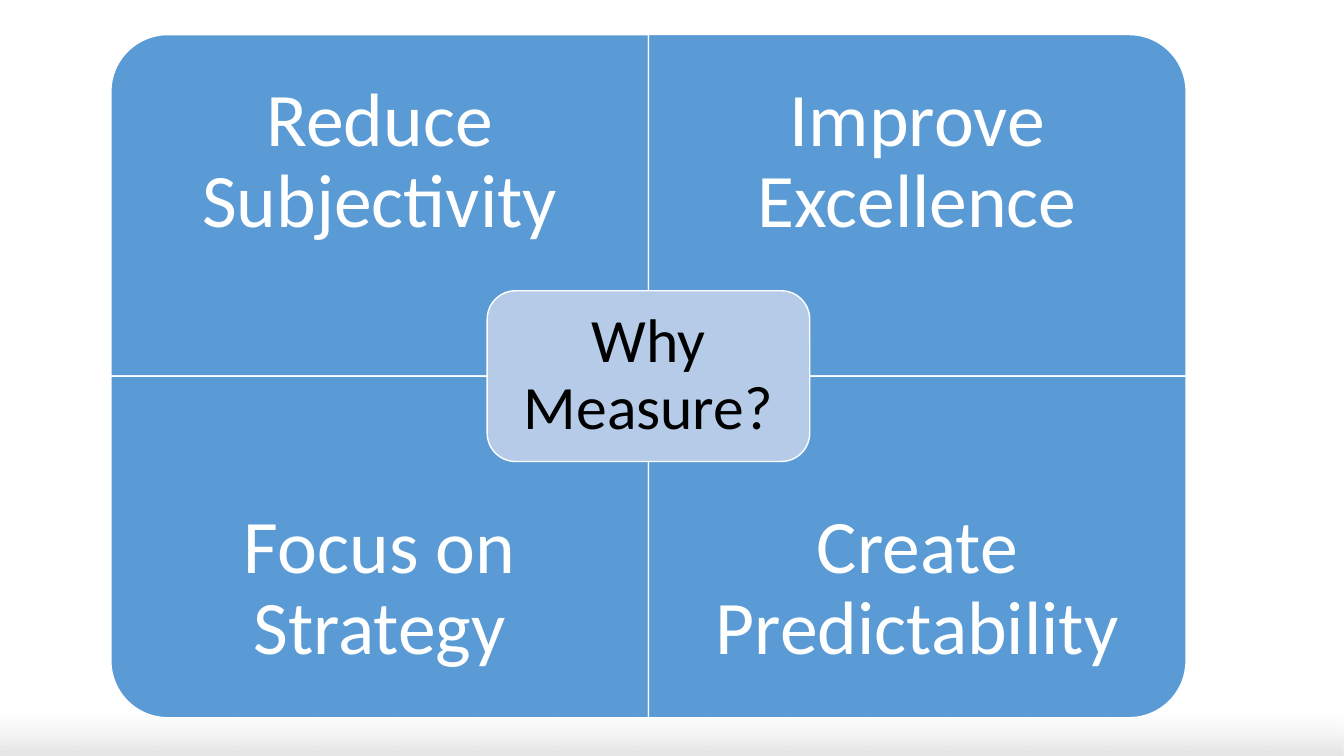
from dataclasses import dataclass

from lxml.etree import SubElement
from pptx import Presentation
from pptx.dml.color import RGBColor
from pptx.enum.shapes import MSO_SHAPE
from pptx.enum.text import MSO_ANCHOR, PP_ALIGN
from pptx.oxml.ns import qn
from pptx.shapes.autoshape import Shape
from pptx.slide import Slide
from pptx.util import Pt


@dataclass(frozen=True)
class Theme:
    font: str = "Calibri"
    panel: RGBColor = RGBColor(0x5B, 0x9B, 0xD5)
    center: RGBColor = RGBColor(0xB5, 0xCB, 0xE7)
    band: RGBColor = RGBColor(0xE7, 0xE6, 0xE6)
    white: RGBColor = RGBColor(0xFF, 0xFF, 0xFF)
    black: RGBColor = RGBColor(0, 0, 0)
    panel_size: float = 54
    center_size: float = 44


@dataclass(frozen=True)
class Box:
    left: float
    top: float
    width: float
    height: float

    def turned(self) -> "Box":
        """Swap width and height about the same middle."""
        shift = (self.width - self.height) / 2
        return Box(self.left + shift, self.top - shift, self.height, self.width)

    def lengths(self) -> tuple[Pt, Pt, Pt, Pt]:
        return Pt(self.left), Pt(self.top), Pt(self.width), Pt(self.height)


@dataclass(frozen=True)
class Quadrant:
    text: str
    column: int
    row: int
    rotation: int


THEME = Theme()
SLIDE_WIDTH, SLIDE_HEIGHT = 960, 540
MATRIX = Box(79.2, 24.7, 768, 488)
PANEL_WIDTH, PANEL_HEIGHT = MATRIX.width / 2, MATRIX.height / 2
LABEL_HEIGHT = PANEL_HEIGHT * 0.75
QUADRANTS = (
    Quadrant("Reduce Subjectivity", 0, 0, 270),
    Quadrant("Improve Excellence", 1, 0, 0),
    Quadrant("Focus on Strategy", 0, 1, 180),
    Quadrant("Create Predictability", 1, 1, 90),
)


def write_text(shape: Shape, text: str, *, size: float, color: RGBColor, inset: float) -> None:
    frame = shape.text_frame
    frame.word_wrap = True
    frame.vertical_anchor = MSO_ANCHOR.MIDDLE
    frame.margin_left = frame.margin_right = Pt(inset)
    frame.margin_top = frame.margin_bottom = Pt(inset)
    paragraph = frame.paragraphs[0]
    paragraph.text = text
    paragraph.alignment = PP_ALIGN.CENTER
    paragraph.line_spacing = 0.9
    paragraph.font.name = THEME.font
    paragraph.font.size = Pt(size)
    paragraph.font.color.rgb = color


def add_panel(slide: Slide, kind: MSO_SHAPE, box: Box, fill: RGBColor) -> Shape:
    shape = slide.shapes.add_shape(kind, *box.lengths())
    shape.shadow.inherit = False
    shape.fill.solid()
    shape.fill.fore_color.rgb = fill
    shape.line.color.rgb = THEME.white
    shape.line.width = Pt(1)
    return shape


def add_bottom_band(slide: Slide) -> None:
    """Fade from grey at the slide's lower edge to clear white."""
    box = Box(0, 487, SLIDE_WIDTH, SLIDE_HEIGHT - 487)
    band = slide.shapes.add_shape(MSO_SHAPE.RECTANGLE, *box.lengths())
    band.shadow.inherit = False
    band.line.fill.background()
    band.fill.gradient()
    band.fill.gradient_angle = 90
    stops = ((0.06, THEME.band), (0.7, THEME.white))
    for stop, (position, color) in zip(band.fill.gradient_stops, stops):
        stop.position = position
        stop.color.rgb = color
    clear_color = list(band.element.spPr.iter(qn("a:srgbClr")))[-1]
    SubElement(clear_color, qn("a:alpha"), val="0")


def add_quadrant(slide: Slide, quadrant: Quadrant) -> None:
    left = MATRIX.left + quadrant.column * PANEL_WIDTH
    top = MATRIX.top + quadrant.row * PANEL_HEIGHT
    box = Box(left, top, PANEL_WIDTH, PANEL_HEIGHT)
    if quadrant.rotation % 180:
        box = box.turned()
    panel = add_panel(slide, MSO_SHAPE.ROUND_1_RECTANGLE, box, THEME.panel)
    panel.rotation = quadrant.rotation

    label_top = top + quadrant.row * (PANEL_HEIGHT - LABEL_HEIGHT)
    label_box = Box(left, label_top, PANEL_WIDTH, LABEL_HEIGHT)
    label = slide.shapes.add_textbox(*label_box.lengths())
    write_text(label, quadrant.text, size=THEME.panel_size, color=THEME.white, inset=30)


def add_center(slide: Slide) -> None:
    width, height = PANEL_WIDTH * 0.6, PANEL_HEIGHT * 0.5
    box = Box(
        MATRIX.left + (MATRIX.width - width) / 2,
        MATRIX.top + (MATRIX.height - height) / 2,
        width,
        height,
    )
    center = add_panel(slide, MSO_SHAPE.ROUNDED_RECTANGLE, box, THEME.center)
    write_text(center, "Why Measure?", size=THEME.center_size, color=THEME.black, inset=13)


def main() -> None:
    presentation = Presentation()
    presentation.slide_width = Pt(SLIDE_WIDTH)
    presentation.slide_height = Pt(SLIDE_HEIGHT)
    slide = presentation.slides.add_slide(presentation.slide_layouts[6])
    add_bottom_band(slide)
    for quadrant in QUADRANTS:
        add_quadrant(slide, quadrant)
    add_center(slide)
    presentation.save("out.pptx")


if __name__ == "__main__":
    main()
